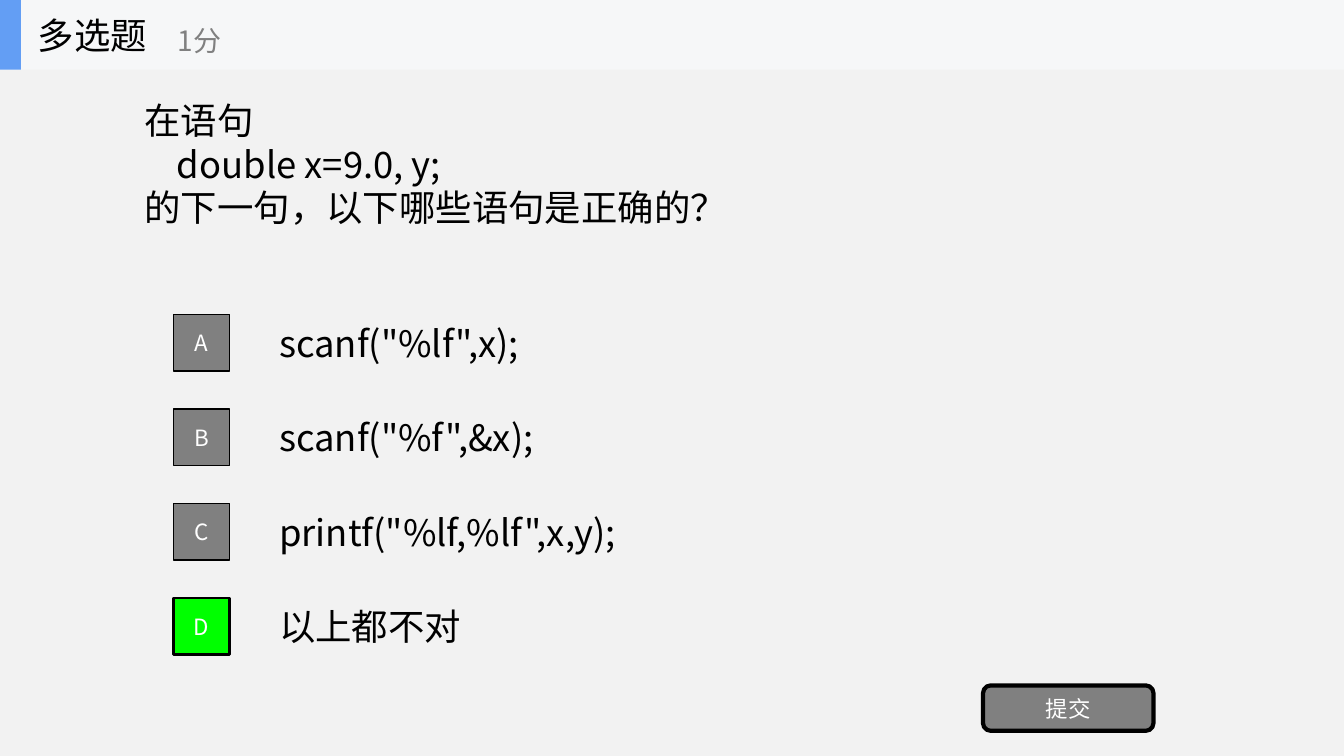
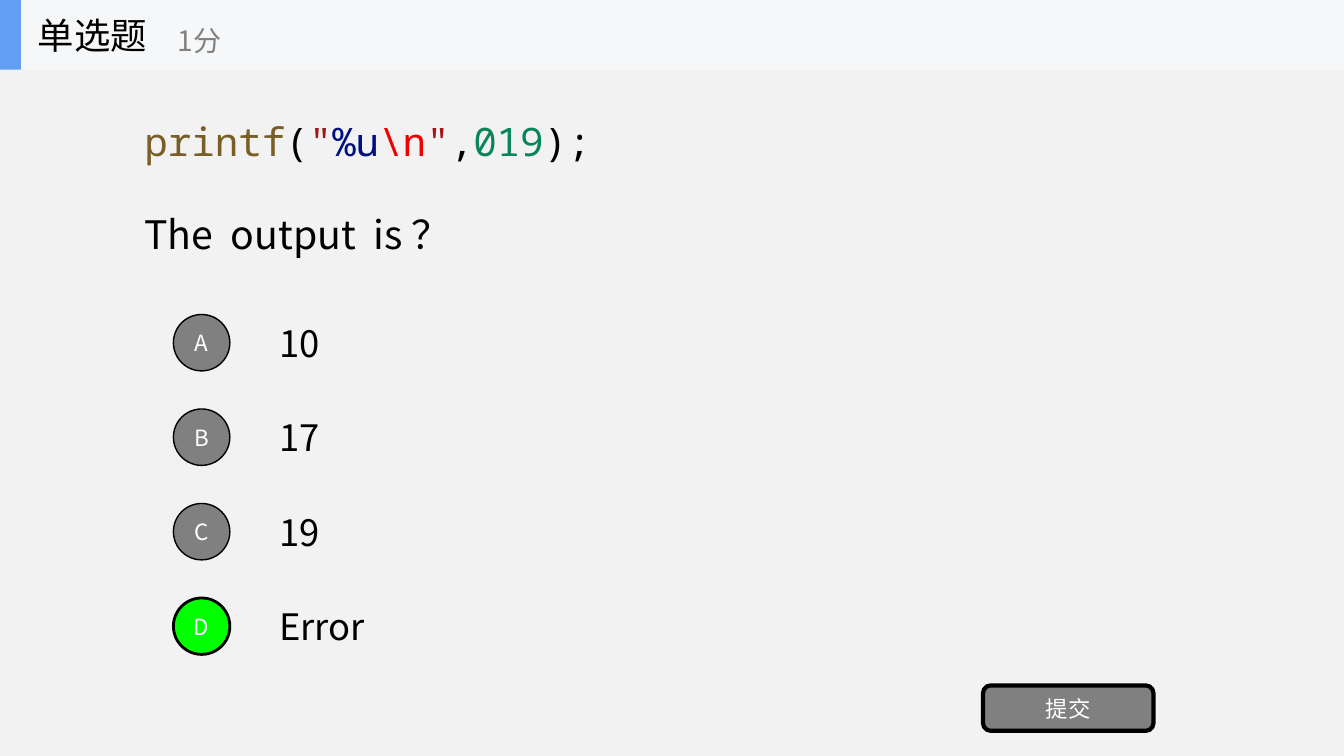
from dataclasses import dataclass

from lxml import etree
from pptx import Presentation
from pptx.dml.color import RGBColor
from pptx.enum.shapes import MSO_SHAPE
from pptx.enum.text import MSO_ANCHOR, MSO_AUTO_SIZE, PP_ALIGN
from pptx.oxml.ns import qn
from pptx.util import Inches, Pt

RECT, OVAL = MSO_SHAPE.RECTANGLE, MSO_SHAPE.OVAL
ROUND = MSO_SHAPE.ROUNDED_RECTANGLE
MIDDLE, FIXED = MSO_ANCHOR.MIDDLE, MSO_AUTO_SIZE.NONE
LEFT, CENTER = PP_ALIGN.LEFT, PP_ALIGN.CENTER
WIDE, HIGH = 13.33, 7.5


@dataclass(frozen=True)
class Theme:
    sans: str = "Noto Sans CJK SC"
    mono: str = "Noto Sans Mono"
    page: str = "F2F2F2"
    band: str = "F6F7F8"
    accent: str = "639EF4"
    ink: str = "000000"
    gray: str = "808080"
    white: str = "FFFFFF"
    right: str = "00FF00"
    func: str = "795E26"
    quote: str = "A31515"
    format: str = "001080"
    escape: str = "EE0000"
    number: str = "098658"
    code: int = 28
    body: int = 26
    score: int = 20
    label: int = 16


T = Theme()


@dataclass(frozen=True)
class Run:
    text: str
    color: str = T.ink
    size: int = T.body
    font: str = T.sans


def paint(fill, color):
    fill.solid()
    fill.fore_color.rgb = RGBColor.from_string(color)


def write(frame, paras, align=LEFT, wrap=True, gap=0):
    """Fill a frame with paragraphs, each a list of runs, gap points apart."""
    frame.word_wrap = wrap
    frame.auto_size = FIXED
    frame.vertical_anchor = MIDDLE
    for i, runs in enumerate(paras):
        para = frame.add_paragraph() if i else frame.paragraphs[0]
        para.alignment = align
        if i and gap:
            para.space_before = Pt(gap)
        for item in runs:
            run = para.add_run()
            run.text = item.text
            run.font.size = Pt(item.size)
            run.font.name = item.font
            run.font.color.rgb = RGBColor.from_string(item.color)
            east = etree.SubElement(run.font._element, qn("a:ea"))
            east.set("typeface", item.font)


def place(box):
    return [Inches(side) for side in box]


def add_text(slide, box, paras, **style):
    frame = slide.shapes.add_textbox(*place(box)).text_frame
    write(frame, paras, **style)
    return frame


def add_block(slide, kind, box, fill, line=0, text=""):
    """Draw a filled shape; a line of 0 points means no outline."""
    shape = slide.shapes.add_shape(kind, *place(box))
    shape.shadow.inherit = False
    paint(shape.fill, fill)
    if line:
        paint(shape.line.fill, T.ink)
        shape.line.width = Pt(line)
    else:
        shape.line.fill.background()
    if text:
        write(shape.text_frame, [[Run(text, T.white, T.label)]], CENTER)


def add_header(slide, box, name, score):
    x, y, w, h = box
    add_block(slide, RECT, box, T.band)
    add_block(slide, RECT, (x, y, 0.3 * h, h), T.accent)
    title = slide.shapes.title
    title.left, title.top, title.width, title.height = place(
        (x + 0.4 * h, y, 3 * h, h))
    write(title.text_frame, [[Run(name)]], wrap=False)
    title.element.getparent().append(title.element)  # above the band
    add_text(slide, (x + w / 8, y + 0.18 * h, 2.5, 0.8 * h),
             [[Run(score, T.gray, T.score)]], wrap=False)


def add_choice(slide, box, kind, key, text, right):
    x, y, w, h = box
    side, inset = 0.8 * h, 0.1 * h
    add_text(slide, (x + 0.95, y, w - 0.95, h), [[Run(text)]])
    add_block(slide, kind, (x, y + inset, side, side),
              T.right if right else T.gray, 2 if right else 1, key)


def add_quiz(deck, name, kind, ask, choices, answer, gap=0, foot=0.05):
    """Add a question slide; foot is the bottom inset of the question."""
    slide = deck.slides.add_slide(deck.slide_layouts[5])
    head = 0.69
    frame = add_text(slide, (WIDE / 10, head, 0.8 * WIDE, 2.34), ask, gap=gap)
    frame.margin_bottom = Inches(foot)
    step = HIGH / 8
    for i, (key, text) in enumerate(zip("ABCD", choices)):
        add_choice(slide, (1.72, 3.05 + i * step, 10.28, 0.7),
                   kind, key, text, key == answer)
    add_block(slide, ROUND, (9.75, 6.8, 1.69, 0.45), T.gray, 3, "提交")
    add_header(slide, (0, 0, WIDE, head), name, "1分")


def code(text, color=T.ink):
    return Run(text, color, T.code, T.mono)


def main():
    deck = Presentation()
    deck.slide_width, deck.slide_height = Inches(WIDE), Inches(HIGH)
    paint(deck.slide_master.background.fill, T.page)
    add_quiz(
        deck, "多选题", RECT,
        [[Run("在语句")], [Run("    double x=9.0, y;")],
         [Run("的下一句，以下哪些语句是正确的？")]],
        ['scanf("%lf",x);', 'scanf("%f",&x);',
         'printf("%lf,%lf",x,y);', "以上都不对"],
        "D", foot=0.52)
    add_quiz(
        deck, "单选题", OVAL,
        [[code("printf", T.func), code("("), code('"', T.quote),
          code("%u", T.format), code("\\n", T.escape), code('"', T.quote),
          code(","), code("019", T.number), code(");")],
         [Run("The  output  is ？", size=T.code)]],
        ["10", "17", "19", "Error"], "D", gap=33)
    deck.save("out.pptx")


if __name__ == "__main__":
    main()
